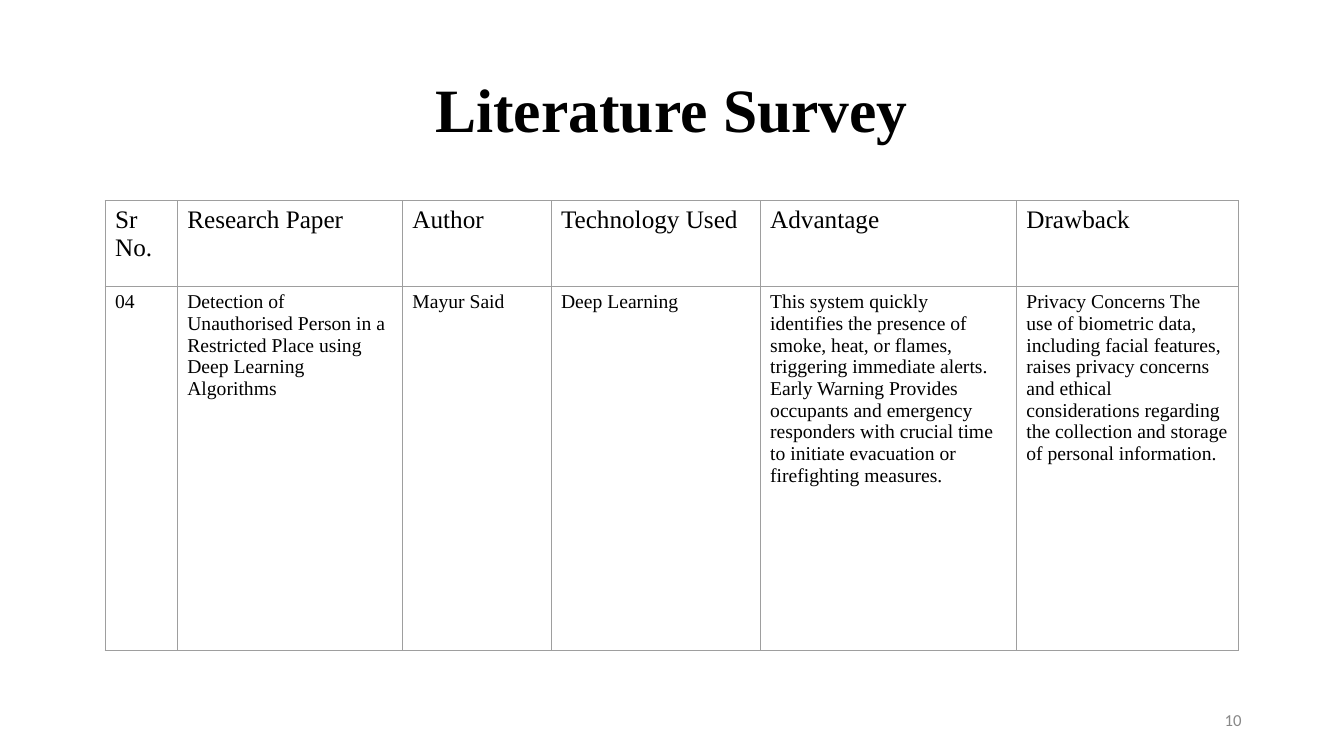
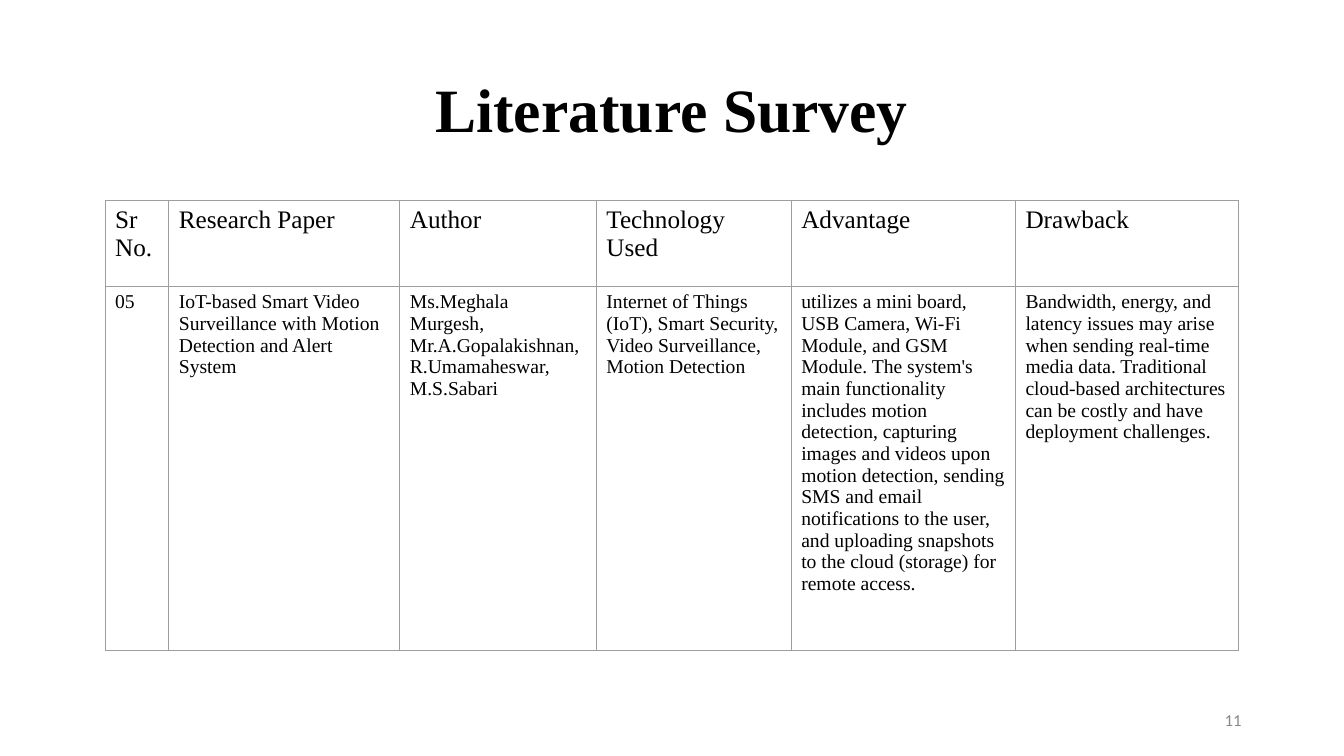
from dataclasses import dataclass

from lxml.etree import SubElement
from pptx import Presentation
from pptx.dml.color import RGBColor
from pptx.enum.text import MSO_ANCHOR, PP_ALIGN
from pptx.oxml.ns import qn
from pptx.util import Emu, Inches, Pt

COLORS = {"ink": "000000", "number": "888888", "rule": "9E9E9E", "page": "FFFFFF"}
SERIF, SANS = "Times New Roman", "Calibri"
UNIT = Inches(1) // 12  # the slide is a grid of 160 columns by 90 rows

HEADINGS = ("Sr\nNo.", "Research Paper", "Author", "Technology Used", "Advantage", "Drawback")
HEADER_ROWS, ENTRY_ROWS = 10.2, 43.3


@dataclass(frozen=True)
class Area:
    """A rectangle in grid units."""
    left: float
    top: float
    width: float
    height: float

    def emu(self) -> tuple[Emu, ...]:
        return tuple(units(n) for n in (self.left, self.top, self.width, self.height))


@dataclass(frozen=True)
class Survey:
    """One reviewed paper; the last table column takes the remaining width."""
    page: int
    columns: tuple[float, ...]
    entry: tuple[str, ...]


TITLE = Area(11, 4.7, 138, 17.4)
PAGE_NUMBER = Area(113, 83.3, 36, 4.8)
TABLE = Area(12.5, 23.9, 135, HEADER_ROWS + ENTRY_ROWS)

SURVEYS = (
    Survey(10, (8.6, 26.8, 17.7, 24.9, 30.5), (
        "04",
        "Detection of Unauthorised Person in a\nRestricted Place using Deep Learning\nAlgorithms",
        "Mayur Said",
        "Deep Learning",
        "This system quickly identifies the presence of smoke, heat, or flames, "
        "triggering immediate alerts.\n"
        "Early Warning Provides occupants and emergency responders with crucial time "
        "to initiate evacuation or firefighting measures.",
        "Privacy Concerns The use of biometric data, including facial features, raises "
        "privacy concerns and ethical considerations regarding the collection and storage "
        "of personal information.",
    )),
    Survey(11, (7.6, 27.5, 23.4, 23.2, 26.7), (
        "05",
        "IoT-based Smart Video Surveillance with Motion Detection and Alert System",
        "Ms.Meghala Murgesh, Mr.A.Gopalakishnan,\nR.Umamaheswar, M.S.Sabari",
        "Internet of Things (IoT), Smart Security, Video Surveillance, Motion Detection",
        "utilizes a mini board, USB Camera, Wi-Fi Module, and GSM Module. The system's main "
        "functionality includes motion detection, capturing images and videos upon motion "
        "detection, sending SMS and email notifications to the user, and uploading snapshots "
        "to the cloud (storage) for remote access.",
        "Bandwidth, energy, and latency issues may arise when sending real-time media data. "
        "Traditional cloud-based architectures can be costly and have deployment challenges.",
    )),
)


def units(count: float) -> Emu:
    return Emu(round(count * UNIT))


def write(frame, text: str, *, size: float, font: str = SERIF, color: str = "ink",
          bold: bool = False, align=PP_ALIGN.LEFT, spacing: float = 1.0) -> None:
    """Fill a text frame, one paragraph for each line of text."""
    frame.word_wrap = True
    frame.text = text
    for paragraph in frame.paragraphs:
        paragraph.alignment = align
        paragraph.line_spacing = spacing
        for run in paragraph.runs:
            run.font.name = font
            run.font.size = Pt(size)
            run.font.bold = bold
            run.font.color.rgb = RGBColor.from_string(COLORS[color])


def add_label(slide, area: Area, text: str, **style) -> None:
    frame = slide.shapes.add_textbox(*area.emu()).text_frame
    frame.vertical_anchor = MSO_ANCHOR.MIDDLE
    write(frame, text, **style)


def rule_cell(cell) -> None:
    """Give a cell no fill and a thin line on each side."""
    cell.fill.background()
    properties = cell._tc.get_or_add_tcPr()
    for position, side in enumerate(("lnL", "lnR", "lnT", "lnB")):
        line = SubElement(properties, qn(f"a:{side}"), w=str(Pt(0.75)))
        fill = SubElement(line, qn("a:solidFill"))
        SubElement(fill, qn("a:srgbClr"), val=COLORS["rule"])
        properties.insert(position, line)


def add_survey_table(slide, survey: Survey) -> None:
    table = slide.shapes.add_table(2, len(HEADINGS), *TABLE.emu()).table
    table.first_row = table.horz_banding = False
    widths = (*survey.columns, TABLE.width - sum(survey.columns))
    for column, width in zip(table.columns, widths):
        column.width = units(width)
    contents = ((HEADINGS, HEADER_ROWS, 18), (survey.entry, ENTRY_ROWS, 14))
    for row, (texts, height, size) in zip(table.rows, contents):
        row.height = units(height)
        for cell, text in zip(row.cells, texts):
            write(cell.text_frame, text, size=size)
            rule_cell(cell)


def add_survey_slide(deck, survey: Survey) -> None:
    slide = deck.slides.add_slide(deck.slide_layouts[6])
    background = slide.background.fill
    background.solid()
    background.fore_color.rgb = RGBColor.from_string(COLORS["page"])
    add_label(slide, TITLE, "Literature Survey", size=44, bold=True,
              align=PP_ALIGN.CENTER, spacing=0.9)
    add_label(slide, PAGE_NUMBER, str(survey.page), size=12, font=SANS,
              color="number", align=PP_ALIGN.RIGHT)
    add_survey_table(slide, survey)


def main() -> None:
    deck = Presentation()
    deck.slide_width, deck.slide_height = units(160), units(90)
    for survey in SURVEYS:
        add_survey_slide(deck, survey)
    deck.save("out.pptx")


if __name__ == "__main__":
    main()
